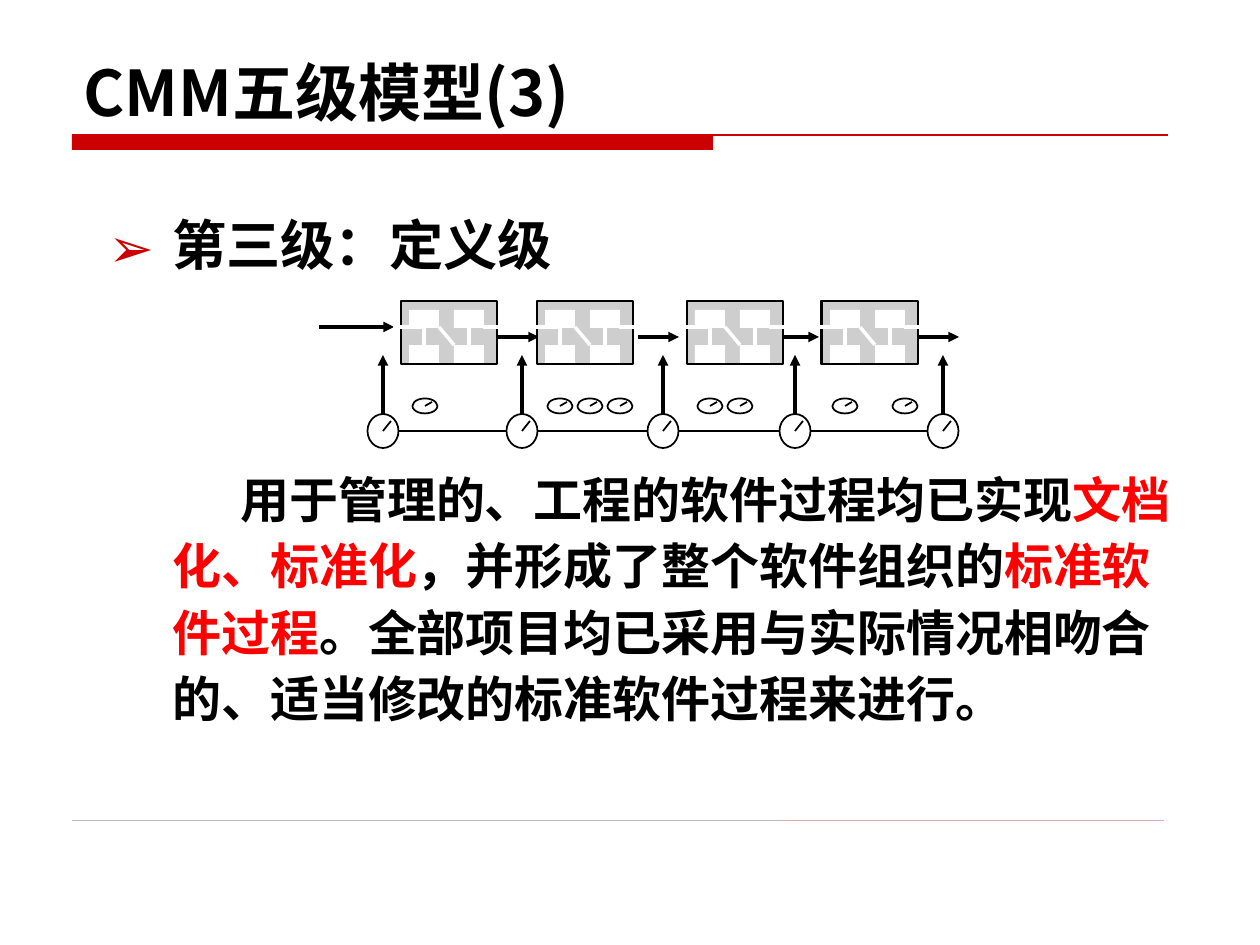
import dataclasses
import typing

import lxml.etree
import pptx
import pptx.dml.color
import pptx.enum.shapes
import pptx.enum.text
import pptx.oxml.ns
import pptx.util

SCALE = 914400 / 126  # EMU in one px
FONT = "Noto Sans CJK SC"
BLACK, WHITE, GREY = "000000", "FFFFFF", "CECECE"
DARK_RED, RED = "CC0000", "FF0000"
RULE_GREY, RULE_PINK = "BBBBBB", "E0A8B4"
SHAPES = pptx.enum.shapes.MSO_SHAPE


@dataclasses.dataclass
class Gauge:
    """A dial with a needle, placed by its centre."""
    x: int
    y: int
    width: int
    height: int
    needle_x: int
    needle_y: int


@dataclasses.dataclass
class Span:
    text: str
    size: int
    colour: str = BLACK


def px(length: float) -> int:
    return round(length * SCALE)


def rgb(colour: str) -> pptx.dml.color.RGBColor:
    return pptx.dml.color.RGBColor.from_string(colour)


def add_xml(parent: typing.Any, tag: str, **attributes: str) -> typing.Any:
    return lxml.etree.SubElement(parent, pptx.oxml.ns.qn(tag), attributes)


def draw_line(page: typing.Any, x1: int, y1: int, x2: int, y2: int,
              colour: str = BLACK, width: float = 1, arrow: bool = False) -> None:
    line = page.shapes.add_connector(
        pptx.enum.shapes.MSO_CONNECTOR.STRAIGHT, px(x1), px(y1), px(x2), px(y2))
    line.line.color.rgb = rgb(colour)
    line.line.width = pptx.util.Pt(width)
    if arrow:
        add_xml(line.line._get_or_add_ln(), "a:tailEnd", type="triangle")
    add_xml(line._element.spPr, "a:effectLst")


def draw_shape(page: typing.Any, kind: typing.Any, left: float, top: float,
               width: int, height: int, fill: str, outline: bool = False) -> None:
    shape = page.shapes.add_shape(kind, px(left), px(top), px(width), px(height))
    shape.shadow.inherit = False
    shape.fill.solid()
    shape.fill.fore_color.rgb = rgb(fill)
    if outline:
        shape.line.color.rgb = rgb(BLACK)
        shape.line.width = pptx.util.Pt(1)
    else:
        shape.line.fill.background()


def draw_gauge(page: typing.Any, gauge: Gauge) -> None:
    draw_shape(page, SHAPES.OVAL, gauge.x - gauge.width / 2, gauge.y - gauge.height / 2,
               gauge.width, gauge.height, WHITE, outline=True)
    draw_line(page, gauge.x, gauge.y, gauge.x + gauge.needle_x, gauge.y - gauge.needle_y)


def draw_process(page: typing.Any, left: int) -> None:
    """A grey box with four white steps and the white flow between them."""
    draw_shape(page, SHAPES.RECTANGLE, left, 301, 96, 63, GREY, outline=True)
    for step_x in (8, 53):
        for step_y in (310, 345):
            draw_shape(page, SHAPES.RECTANGLE, left + step_x, step_y, 30, 18, WHITE)
    flow = [(-8, 327, 23, 327), (23, 327, 23, 345), (38, 327, 53, 345),
            (68, 345, 68, 327), (82, 327, 97, 327)]
    for x1, y1, x2, y2 in flow:
        draw_line(page, left + x1, y1, left + x2, y2, WHITE, 2)


def add_text_box(page: typing.Any, left: int, top: int, width: int, height: int) -> typing.Any:
    frame = page.shapes.add_textbox(px(left), px(top), px(width), px(height)).text_frame
    frame.word_wrap = True
    return frame


def write_spans(para: typing.Any, spans: list[Span]) -> None:
    for part in spans:
        span = para.add_run()
        span.text = part.text
        span.font.size = pptx.util.Pt(part.size)
        span.font.bold = True
        span.font.name = FONT
        span.font.color.rgb = rgb(part.colour)
        add_xml(span._r.get_or_add_rPr(), "a:ea", typeface=FONT)


def set_indent(para: typing.Any, margin: int, first_line: int) -> typing.Any:
    properties = para._p.get_or_add_pPr()
    properties.set("marL", str(px(margin)))
    properties.set("indent", str(px(first_line)))
    return properties


def main() -> None:
    deck = pptx.Presentation()
    deck.slide_width, deck.slide_height = px(1260), px(945)
    page = deck.slides.add_slide(deck.slide_layouts[6])

    # Title with its rule, and the two-tone footer rule
    draw_shape(page, SHAPES.RECTANGLE, 72, 135, 641, 15, DARK_RED)
    draw_line(page, 72, 135, 1168, 135, DARK_RED, 0.75)
    draw_line(page, 72, 820, 781, 820, RULE_GREY, 0.25)
    draw_line(page, 781, 820, 1164, 820, RULE_PINK, 0.25)
    title = add_text_box(page, 71, 36, 1102, 99)
    title.vertical_anchor = pptx.enum.text.MSO_ANCHOR.BOTTOM
    write_spans(title.paragraphs[0], [Span("CMM五级模型(3)", 36)])

    # Heading and description
    body = add_text_box(page, 96, 175, 1110, 640)
    heading = body.paragraphs[0]
    heading.line_spacing = 1.46
    properties = set_indent(heading, 64, -64)
    add_xml(add_xml(properties, "a:buClr"), "a:srgbClr", val=DARK_RED)
    add_xml(properties, "a:buFont", typeface=FONT)
    add_xml(properties, "a:buChar", char="➢")
    write_spans(heading, [Span("第三级：定义级", 31)])

    description = body.add_paragraph()
    description.line_spacing = pptx.util.Pt(38)
    description.space_before = pptx.util.Pt(106)
    set_indent(description, 64, 68)
    write_spans(description, [
        Span("用于管理的、工程的软件过程均已实现", 28),
        Span("文档化、标准化", 28, RED),
        Span("，并形成了整个软件组织的", 28),
        Span("标准软件过程", 28, RED),
        Span("。全部项目均已采用与实际情况相吻合的、适当修改的标准软件过程来进行。", 28),
    ])

    # Arrows between the processes
    draw_line(page, 319, 327, 394, 327, width=2, arrow=True)
    for start in (498, 638, 778, 918):
        draw_line(page, start, 337, start + 41, 337, width=2, arrow=True)

    # Large gauges on their common line, each feeding upwards
    gauge_centres = (383, 522, 663, 795, 943)
    for x in gauge_centres:
        draw_line(page, x, 431, x, 355, width=2, arrow=True)
    draw_line(page, gauge_centres[0], 431, gauge_centres[-1], 431)
    for x in gauge_centres:
        draw_gauge(page, Gauge(x, 431, 31, 34, 8, 10))

    # Processes, the last one with a doubled edge
    draw_shape(page, SHAPES.RECTANGLE, 821, 301, 96, 63, GREY, outline=True)
    for left in (401, 537, 687, 822):
        draw_process(page, left)

    # Small gauges below the processes
    for x in (425, 560, 590, 620, 710, 740, 845, 905):
        draw_gauge(page, Gauge(x, 406, 25, 15, 7, 4))

    deck.save("out.pptx")


if __name__ == "__main__":
    main()
